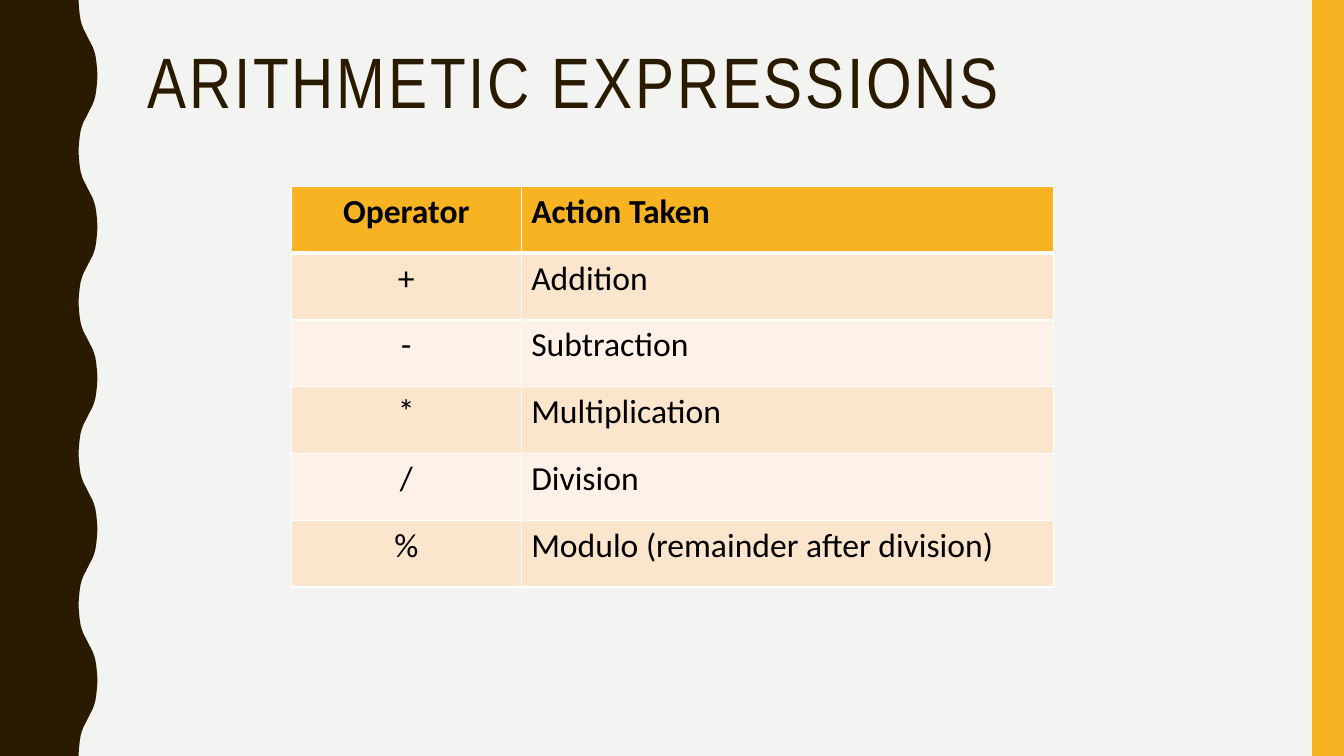
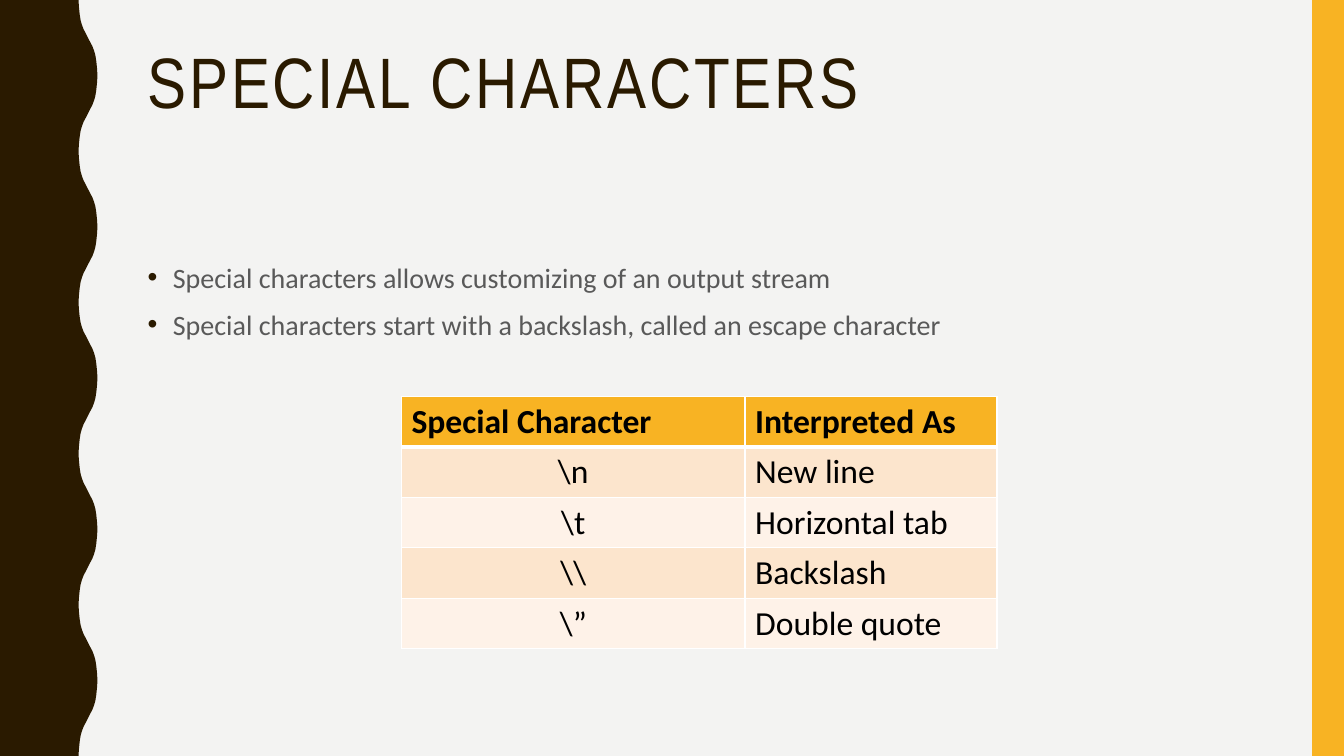
from lxml import etree
from pptx import Presentation
from pptx import util as u
from pptx.dml.color import RGBColor
from pptx.enum import shapes, text
from pptx.oxml import ns

COLORS = {
    "paper": "F3F3F2", "brown": "2A1A00", "gold": "F8B323", "grey": "595959",
    "ink": "000000", "line": "FFFFFF", "peach": "FCE5CD", "cream": "FEF2E8",
}
TITLE_FONT, BODY_FONT = "Arial Narrow", "Calibri"

# Grid of 160 columns by 90 rows
W, H = u.Inches(13.33), u.Inches(7.5)
COLS, ROWS = 160, 90
TITLE_BOX = (16.4, 5, 133.6, 19.5)
BODY_BOX = (16.4, 30, 133.6, 47.2)
BAND_BOX = (156.2, 0, 3.8, ROWS)
WAVE_BOX = (0, 0, 11.6, ROWS)

# First half of one swing of the wave: (share of depth, share of length)
SWING = [(0, 0), (0.02, 0.09), (0.06, 0.19), (0.11, 0.27), (0.18, 0.33),
         (0.27, 0.39), (0.38, 0.44), (0.5, 0.5)]
WAVE_DEPTH, SWINGS = 2.25, 10


def col(n):
    return round(W * n / COLS)


def row(n):
    return round(H * n / ROWS)


def emu(box):
    x, y, w, h = box
    return col(x), row(y), col(w), row(h)


def rgb(name):
    return RGBColor.from_string(COLORS[name])


def paint(sp, color):
    sp.shadow.inherit = False
    sp.fill.solid()
    sp.fill.fore_color.rgb = rgb(color)
    sp.line.fill.background()


def style(p, font, size, color, bold=False):
    for r in p.runs:
        r.font.name, r.font.size, r.font.bold = font, u.Pt(size), bold
        r.font.color.rgb = rgb(color)


def child(parent, tag, **attrs):
    return etree.SubElement(parent, ns.qn(tag), attrs)


# Wavy left edge and right band
def add_wave(s, box):
    x, y, w, h = box
    swing = SWING + [(1 - dx, 1 - dy) for dx, dy in reversed(SWING[:-1])]
    step = h / SWINGS
    points = []
    for i in range(SWINGS):
        for dx, dy in swing:
            out = 1 - dx if i % 2 else dx
            points.append((col(x + w - WAVE_DEPTH * (1 - out)),
                           row(y + step * (i + dy))))
    fb = s.shapes.build_freeform(col(x), row(y), scale=1.0)
    fb.add_line_segments(points + [(col(x), row(y + h))], close=True)
    paint(fb.convert_to_shape(), "brown")


def add_band(s, box):
    paint(s.shapes.add_shape(shapes.MSO_SHAPE.RECTANGLE, *emu(box)), "gold")


# Text regions
def add_text(s, box):
    tf = s.shapes.add_textbox(*emu(box)).text_frame
    tf.word_wrap = True
    return tf


def add_title(s, box, title):
    p = add_text(s, box).paragraphs[0]
    p.text = title
    p.line_spacing = 0.9
    style(p, TITLE_FONT, 51, "brown")
    p.runs[0].font._element.set("spc", "200")


def add_bullets(s, box, lines):
    tf = add_text(s, box)
    tf.text = "\n".join(lines)
    for p in tf.paragraphs:
        p.line_spacing, p.space_before = 1.1, u.Pt(7)
        style(p, BODY_FONT, 20, "grey")
        pPr = p._p.get_or_add_pPr()
        pPr.set("marL", str(u.Inches(0.25)))
        pPr.set("indent", str(-u.Inches(0.25)))
        child(child(pPr, "a:buClr"), "a:srgbClr", val=COLORS["brown"])
        child(pPr, "a:buFont", typeface="Arial")
        child(pPr, "a:buChar", char="•")


# Tables
def set_borders(cell, top, bottom):
    tcPr = cell._tc.get_or_add_tcPr()
    for side, width in (("L", 1), ("R", 1), ("T", top), ("B", bottom)):
        ln = child(tcPr, f"a:ln{side}", w=str(u.Pt(width)))
        child(child(ln, "a:solidFill"), "a:srgbClr", val=COLORS["line"])


def add_table(s, left, top, widths, row_height, rows, center_head):
    box = (left, top, sum(widths), row_height * len(rows))
    t = s.shapes.add_table(len(rows), len(widths), *emu(box)).table
    t.horz_banding = False
    for c, width in zip(t.columns, widths):
        c.width = col(width)
    for i, values in enumerate(rows):
        t.rows[i].height = row(row_height)
        head = i == 0
        fill = "gold" if head else ("cream", "peach")[i % 2]
        for j, value in enumerate(values):
            cell = t.cell(i, j)
            set_borders(cell, 3 if i == 1 else 1, 3 if head else 1)
            cell.fill.solid()
            cell.fill.fore_color.rgb = rgb(fill)
            cell.text = value
            p = cell.text_frame.paragraphs[0]
            style(p, BODY_FONT, 24, "ink", bold=head)
            if j == 0 and (center_head or not head):
                p.alignment = text.PP_ALIGN.CENTER


# Slides
def new_slide(prs, title):
    s = prs.slides.add_slide(prs.slide_layouts[6])
    add_wave(s, WAVE_BOX)
    add_band(s, BAND_BOX)
    add_title(s, TITLE_BOX, title)
    return s


def arithmetic_slide(prs):
    s = new_slide(prs, "ARITHMETIC EXPRESSIONS")
    add_table(s, 34.7, 22.2, (27.35, 63.35), 7.95, [
        ("Operator", "Action Taken"),
        ("+", "Addition"),
        ("-", "Subtraction"),
        ("*", "Multiplication"),
        ("/", "Division"),
        ("%", "Modulo (remainder after division)"),
    ], center_head=True)


def characters_slide(prs):
    s = new_slide(prs, "SPECIAL CHARACTERS")
    add_bullets(s, BODY_BOX, [
        "Special characters allows customizing of an output stream",
        "Special characters start with a backslash, called an escape character",
    ])
    add_table(s, 47.8, 47.2, (40.9, 30), 6, [
        ("Special Character", "Interpreted As"),
        (r"\n", "New line"),
        (r"\t", "Horizontal tab"),
        (r"\\", "Backslash"),
        (r"\”", "Double quote"),
    ], center_head=False)


def main():
    prs = Presentation()
    prs.slide_width, prs.slide_height = W, H
    fill = prs.slide_master.background.fill
    fill.solid()
    fill.fore_color.rgb = rgb("paper")
    arithmetic_slide(prs)
    characters_slide(prs)
    prs.save("out.pptx")


if __name__ == "__main__":
    main()
